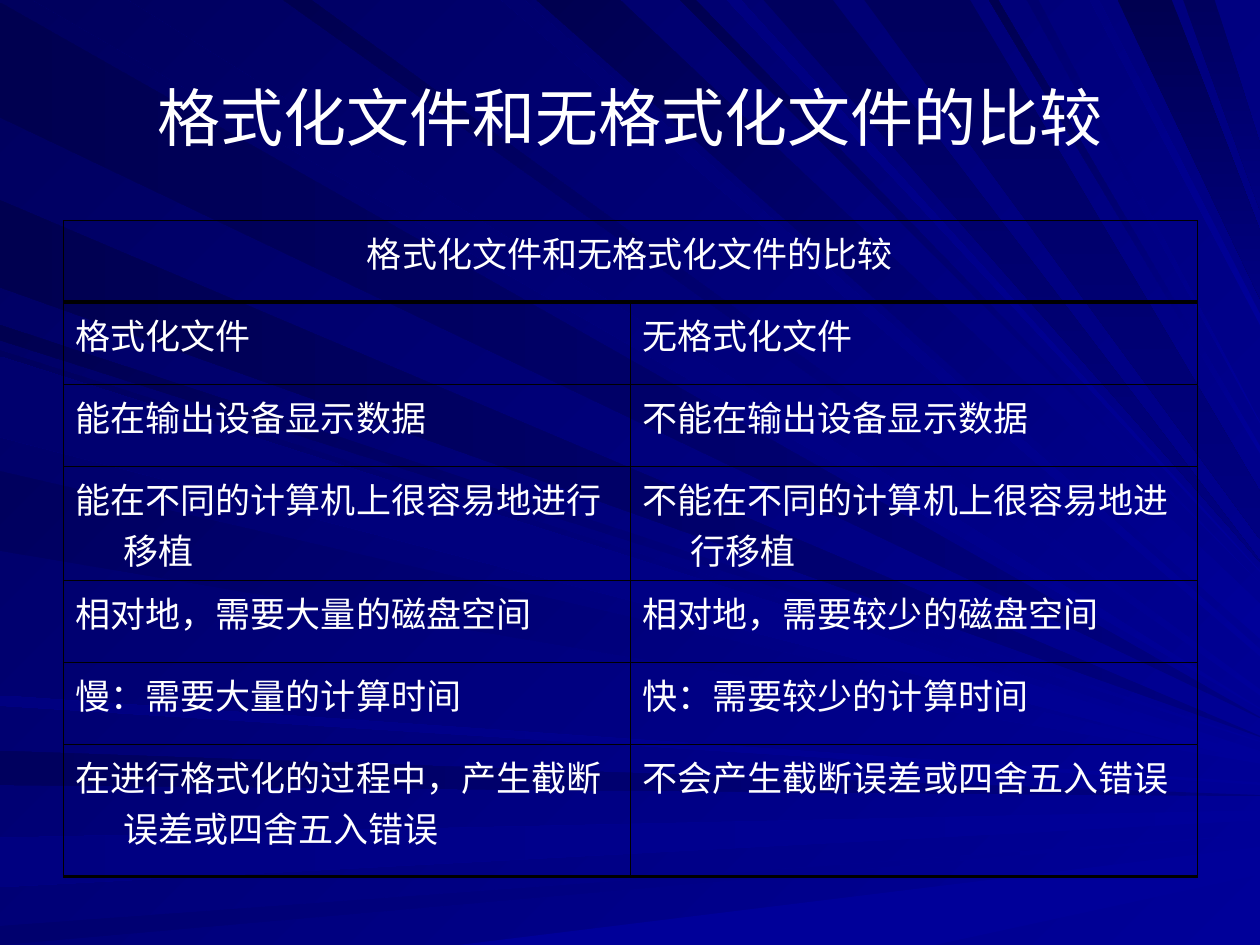
"""Build a slide that compares formatted and unformatted files over a blue field of rays."""
from typing import NamedTuple

from lxml import etree
from pptx import Presentation
from pptx.dml.color import RGBColor
from pptx.enum.text import MSO_ANCHOR, PP_ALIGN
from pptx.oxml.ns import qn
from pptx.util import Inches, Pt

MIDDLE = MSO_ANCHOR.MIDDLE
CENTER, LEFT = PP_ALIGN.CENTER, PP_ALIGN.LEFT
FONT = "Times New Roman"
WIDE, TALL = 10, 7.5
BASE, DEEP, SOFT, DIM, DARK = "000099", "000080", "00006E", "00005E", "000050"
WHITE, BLACK = "FFFFFF", "000000"
FLAT, SLANT, DOWN = 180, 135, 270
THIN, FINE, THICK = 0.34, 0.45, 2.5
ROW, TALLER = 0.65, {3: 0.77, 6: 1.05}
TITLE = "格式化文件和无格式化文件的比较"
ROWS = [
    (TITLE, ""),
    ("格式化文件", "无格式化文件"),
    ("能在输出设备显示数据", "不能在输出设备显示数据"),
    ("能在不同的计算机上很容易地进行移植", "不能在不同的计算机上很容易地进行移植"),
    ("相对地，需要大量的磁盘空间", "相对地，需要较少的磁盘空间"),
    ("慢：需要大量的计算时间", "快：需要较少的计算时间"),
    ("在进行格式化的过程中，产生截断误差或四舍五入错误", "不会产生截断误差或四舍五入错误"),
]
RULES = [THIN, THICK, FINE] + [THIN] * (len(ROWS) - 3) + [THICK]


class Ray(NamedTuple):
    edge: str
    near: float
    far: float
    high: float
    low: float
    end: str
    start: str = BASE
    angle: int = SLANT


RAYS = [
    Ray("left", 0.93, 0.02, 5.69, 5.7, DARK, DEEP, FLAT),
    Ray("top", 0.26, 1.01, 5.62, 5.63, DIM),
    Ray("left", 6.23, 5.96, 6.31, 6.32, DIM, DEEP, FLAT),
    Ray("left", 7.04, 6.65, 6.43, 6.51, DEEP, BASE, FLAT),
    Ray("left", 7.5, 7.35, 6.62, 6.62, SOFT, BASE, FLAT),
    Ray("bottom", 7.42, 3.64, 6.72, 6.94, BASE),
    Ray("left", 2.7, 2.58, 5.88, 5.89, DARK),
    Ray("left", 2.28, 1.59, 5.84, 5.85, DARK, DEEP, FLAT),
    Ray("top", 3.98, 4.16, 5.15, 5.21, SOFT),
    Ray("top", 4.26, 4.92, 4.79, 5.07, DARK),
    Ray("top", 5.4, 5.52, 4.63, 4.63, DARK),
    Ray("top", 6.06, 6.61, 4.45, 4.46, DEEP, DIM, DOWN),
    Ray("top", 8.87, 9.3, 1.83, 2.37, DEEP, DARK, DOWN),
    Ray("top", 9.39, 9.64, 1.14, 1.67, DEEP, DIM, DOWN),
    Ray("left", 3.42, 2.78, 5.96, 6.02, DIM),
    Ray("left", 4.37, 3.74, 6.05, 6.06, DIM),
    Ray("left", 5.6, 5.52, 6.21, 6.23, DEEP, BASE, FLAT),
    Ray("top", 2.25, 2.47, 5.47, 5.52, DARK),
    Ray("top", 5.77, 5.88, 4.53, 4.54, DEEP),
    Ray("top", 6.86, 7.7, 3.9, 4.28, DEEP, DIM, DOWN),
    Ray("top", 7.85, 7.92, 3.54, 3.6, DARK),
    Ray("top", 8.15, 8.24, 3.35, 3.36, SOFT),
    Ray("top", 8.65, 8.72, 2.49, 2.58, DEEP),
    Ray("left", 3.47, 2.83, 6.01, 6.06, SOFT, BASE, FLAT),
]


def tint(color, code: str) -> None:
    color.rgb = RGBColor.from_string(code)


def blend(fill, start: str, end: str, angle: int) -> None:
    fill.gradient()
    fill.gradient_angle = angle
    for stop, code in zip(fill.gradient_stops, (start, end)):
        tint(stop.color, code)


def place(edge: str, along: float) -> tuple[float, float]:
    return {"left": (0, along), "top": (along, 0), "bottom": (along, TALL)}[edge]


def draw_ray(slide, ray: Ray) -> None:
    points = [place(ray.edge, ray.near), place(ray.edge, ray.far), (WIDE, ray.high), (WIDE, ray.low)]
    first, *rest = [(Inches(x), Inches(y)) for x, y in points]
    path = slide.shapes.build_freeform(*first)
    path.add_line_segments(rest, close=True)
    shape = path.convert_to_shape()
    shape.shadow.inherit = False
    shape.line.fill.background()
    blend(shape.fill, ray.start, ray.end, ray.angle)


def write(para, text: str, size: int, align) -> None:
    para.alignment = align
    run = para.add_run()
    run.text = text
    run.font.size = Pt(size)
    run.font.name = FONT
    tint(run.font.color, WHITE)


def rule_cell(cell, top: float, bottom: float) -> None:
    props = cell._tc.get_or_add_tcPr()
    for side, width in (("L", THIN), ("R", THIN), ("T", top), ("B", bottom)):
        line = etree.SubElement(props, qn(f"a:ln{side}"), w=str(Pt(width)))
        fill = etree.SubElement(line, qn("a:solidFill"))
        etree.SubElement(fill, qn("a:srgbClr"), val=BLACK)
    cell.fill.background()


def draw_table(slide) -> None:
    heights = [TALLER.get(i, ROW) for i in range(len(ROWS))]
    frame = slide.shapes.add_table(
        len(ROWS), 2, Inches(0.5), Inches(1.75), Inches(9), Inches(sum(heights)))
    table = frame.table
    table.first_row = table.horz_banding = False
    table.cell(0, 0).merge(table.cell(0, 1))
    for i, texts in enumerate(ROWS):
        table.rows[i].height = Inches(heights[i])
        for j, text in enumerate(texts):
            cell = table.cell(i, j)
            rule_cell(cell, RULES[i], RULES[i + 1])
            if text:
                para = cell.text_frame.paragraphs[0]
                write(para, text, 20, LEFT if i else CENTER)
                props = para._p.get_or_add_pPr()
                props.set("marL", str(Inches(0.38)))
                props.set("indent", str(Inches(-0.38)))


def draw_title(slide) -> None:
    title = slide.shapes.title
    title.left, title.top = Inches(0.5), Inches(0.3)
    title.width, title.height = Inches(9), Inches(1.25)
    title.text_frame.vertical_anchor = MIDDLE
    write(title.text_frame.paragraphs[0], TITLE, 36, CENTER)
    slide.shapes.element.append(title.element)


def main() -> None:
    deck = Presentation()
    deck.slide_width, deck.slide_height = Inches(WIDE), Inches(TALL)
    slide = deck.slides.add_slide(deck.slide_layouts[5])
    blend(slide.background.fill, BASE, DIM, SLANT)
    for ray in RAYS:
        draw_ray(slide, ray)
    draw_title(slide)
    draw_table(slide)
    deck.save("out.pptx")


if __name__ == "__main__":
    main()
